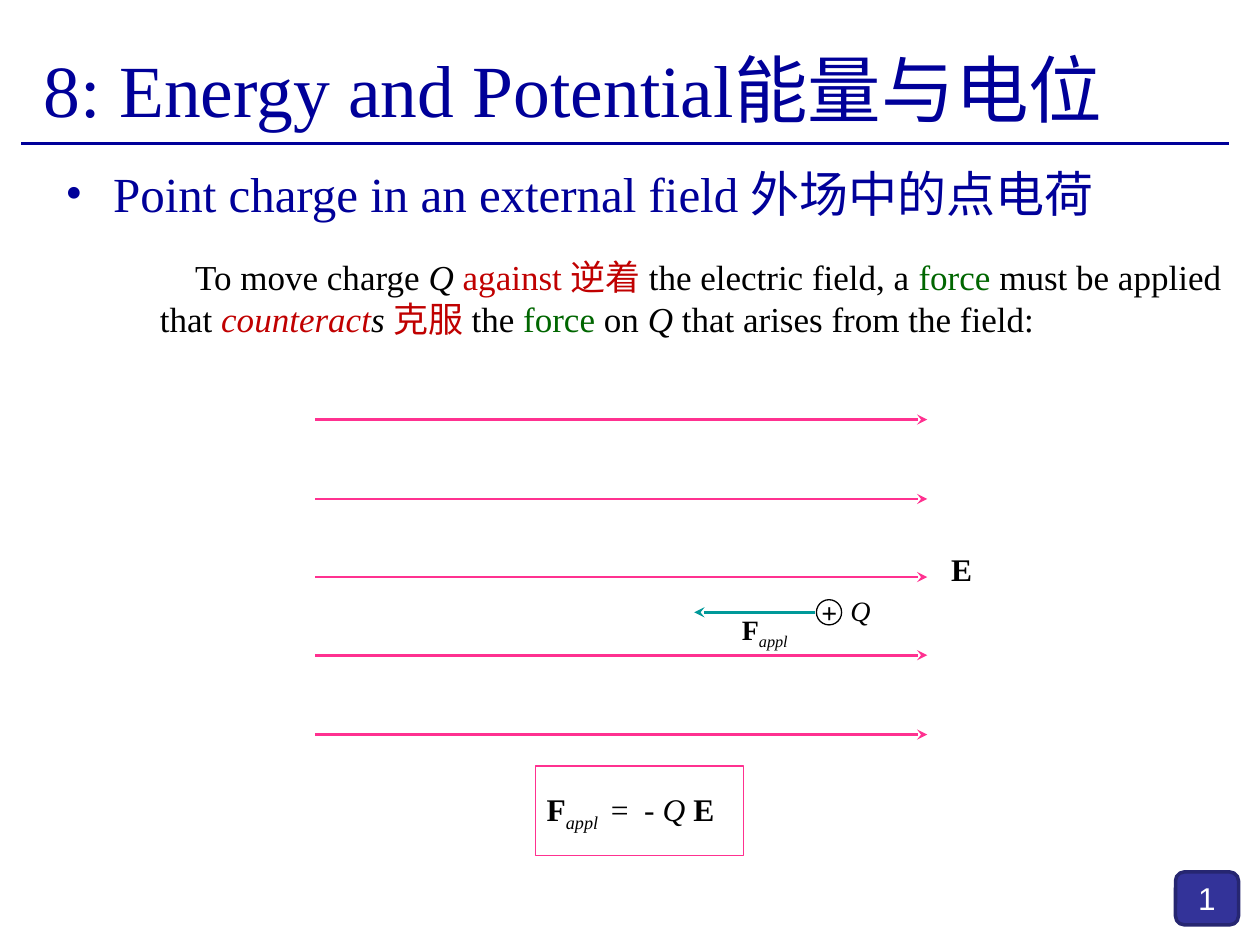
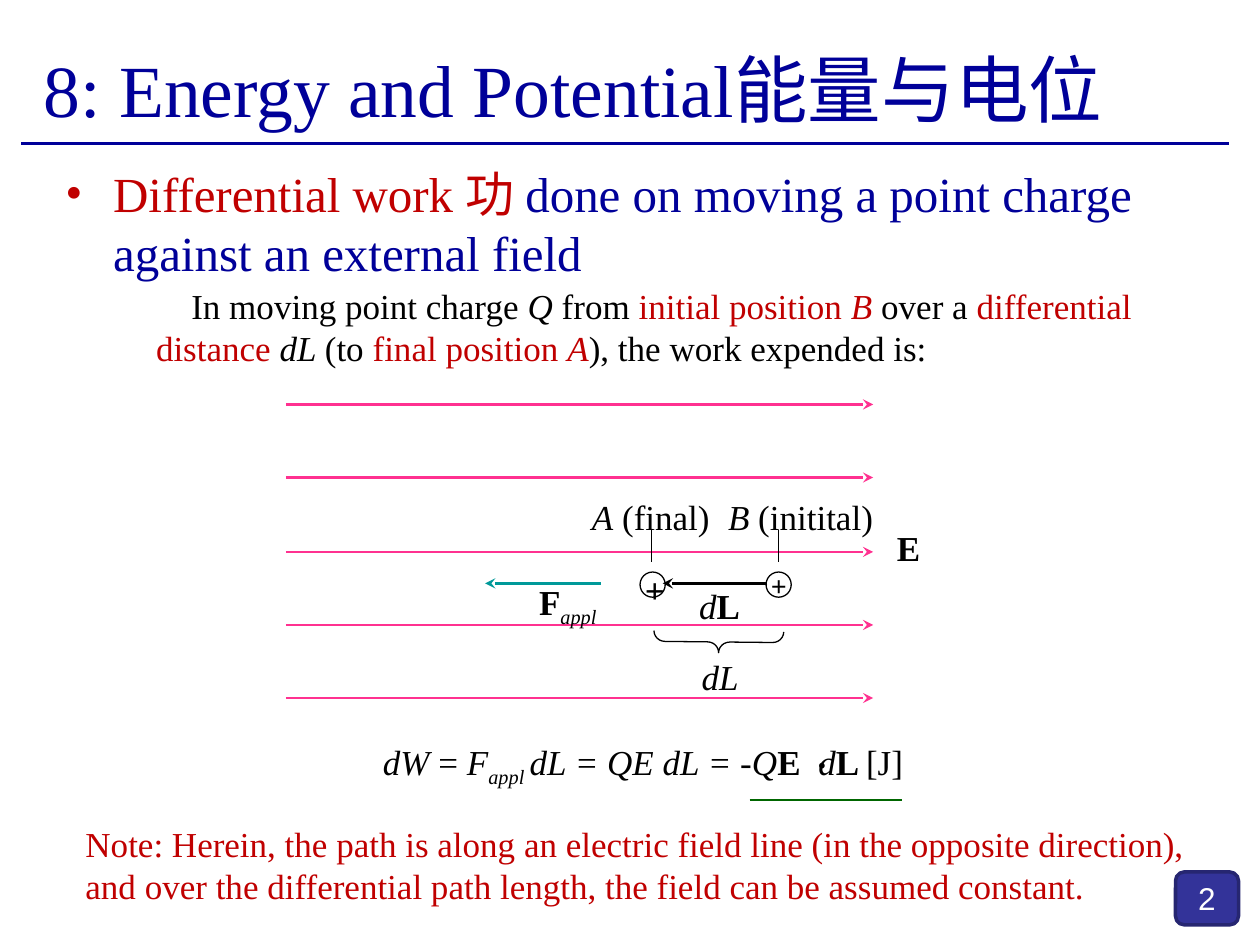
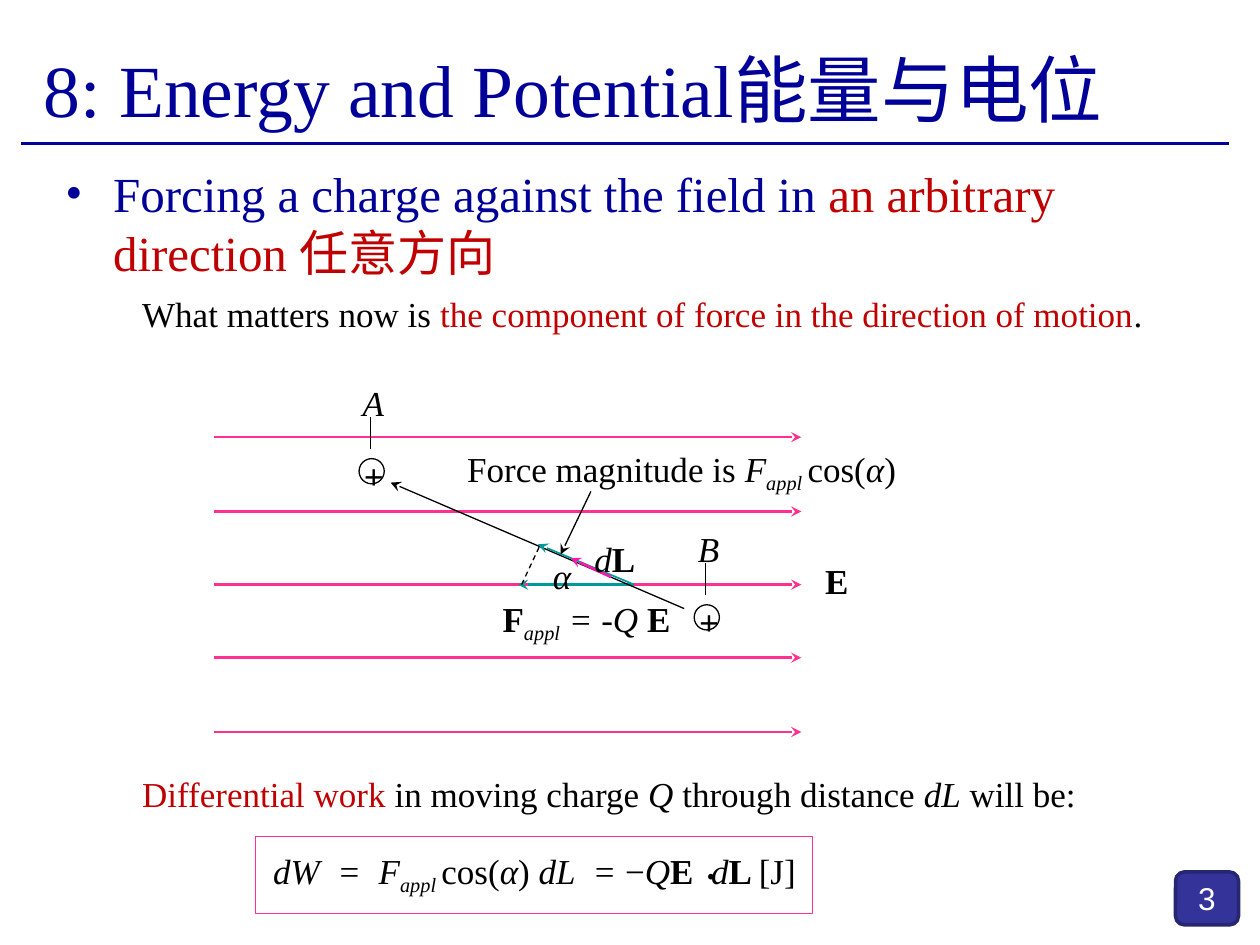
from dataclasses import dataclass

from lxml import etree
from pptx import Presentation
from pptx.dml.color import RGBColor
from pptx.enum.dml import MSO_LINE
from pptx.enum.shapes import MSO_CONNECTOR, MSO_SHAPE
from pptx.enum.text import MSO_ANCHOR, MSO_AUTO_SIZE, PP_ALIGN
from pptx.oxml.ns import qn
from pptx.util import Emu, Pt

STRAIGHT = MSO_CONNECTOR.STRAIGHT
RECT = MSO_SHAPE.RECTANGLE
ROUND_RECT = MSO_SHAPE.ROUNDED_RECTANGLE
ELLIPSE = MSO_SHAPE.OVAL
BRACE = MSO_SHAPE.LEFT_BRACE
MIDDLE = MSO_ANCHOR.MIDDLE
CENTER = PP_ALIGN.CENTER
GROW = MSO_AUTO_SIZE.SHAPE_TO_FIT_TEXT
DASH = MSO_LINE.DASH

PX = 9144
BLANK = 6


@dataclass(frozen=True)
class Theme:
    colours = {
        "black": "000000", "white": "FFFFFF", "navy": "000099",
        "red": "C00000", "green": "006600", "pink": "FF3190",
        "magenta": "FF16AB", "teal": "009999",
        "badge": "333399", "badge_edge": "262671",
    }
    latin = "Times New Roman"
    east_asian = "Noto Sans CJK SC"
    badge_font = "Arial"
    title = 42
    heading = 28
    body = 20
    formula = 18
    small = 16
    thin = 0.75
    thick = 1.5

    def rgb(self, name):
        return RGBColor.from_string(self.colours[name])


class Deck:
    def __init__(self, theme):
        self.theme = theme
        self.prs = Presentation()
        self.prs.slide_width = self.px(1000)
        self.prs.slide_height = self.px(750)
        self.s = None

    def px(self, n):
        return Emu(n * PX)

    def box(self, *lengths):
        return [self.px(n) for n in lengths]

    def slide(self, heading):
        self.s = self.prs.slides.add_slide(self.prs.slide_layouts[BLANK])
        self.line(17, 114, 975, 114, "navy", self.theme.thick)
        self.badge(len(self.prs.slides))
        self.title("8: Energy and Potential能量与电位")
        self.heading(heading)

    def run(self, p, text, style="", size=None, font=None):
        words = style.split()
        r = p.add_run()
        r.text = text
        f = r.font
        f.name = font or self.theme.latin
        f.size = Pt(size or self.theme.body)
        f.bold = "b" in words
        f.italic = "i" in words
        colour = next((w for w in words if w in self.theme.colours), "black")
        f.color.rgb = self.theme.rgb(colour)
        rPr = r._r.get_or_add_rPr()
        ea = etree.Element(qn("a:ea"), typeface=self.theme.east_asian)
        rPr.find(qn("a:latin")).addnext(ea)
        if "sub" in words:
            rPr.set("baseline", "-25000")

    def frame(self, x, y, w, h, wrap):
        tf = self.s.shapes.add_textbox(*self.box(x, y, w, h)).text_frame
        tf.word_wrap = wrap
        return tf

    def title(self, text):
        tf = self.frame(25, 7, 900, 125, True)
        tf.vertical_anchor = MIDDLE
        self.run(tf.paragraphs[0], text, "navy", self.theme.title)

    def heading(self, runs):
        tf = self.frame(42, 125, 950, 57, True)
        tf.auto_size = GROW
        p = tf.paragraphs[0]
        pPr = p._p.get_or_add_pPr()
        pPr.set("marL", str(self.px(38)))
        pPr.set("indent", str(self.px(-38)))
        etree.SubElement(pPr, qn("a:buFont"), typeface=self.theme.latin)
        etree.SubElement(pPr, qn("a:buChar"), char="•")
        for text, style in runs:
            self.run(p, text, style, self.theme.heading)

    def text(self, x, y, w, *paragraphs, size=None, wrap=False, indent=0):
        size = size or self.theme.body
        h = 11 + len(paragraphs) * 33 * size // 20
        tf = self.frame(x, y, w, h, wrap)
        tf.auto_size = GROW
        for i, runs in enumerate(paragraphs):
            p = tf.add_paragraph() if i else tf.paragraphs[0]
            if indent and not i:
                p._p.get_or_add_pPr().set("indent", str(self.px(indent)))
            for text, *style in runs:
                self.run(p, text, *style, size=size)

    def shape(self, kind, x, y, w, h, edge="black", width=None, fill=None):
        sp = self.s.shapes.add_shape(kind, *self.box(x, y, w, h))
        sp.shadow.inherit = False
        if fill:
            sp.fill.solid()
            sp.fill.fore_color.rgb = self.theme.rgb(fill)
        else:
            sp.fill.background()
        sp.line.color.rgb = self.theme.rgb(edge)
        sp.line.width = Pt(width or self.theme.thin)
        return sp

    def badge(self, number):
        sp = self.shape(ROUND_RECT, 933, 692, 50, 42, "badge_edge", 2, "badge")
        tf = sp.text_frame
        tf.vertical_anchor = MIDDLE
        p = tf.paragraphs[0]
        p.alignment = CENTER
        self.run(p, str(number), "white", self.theme.formula,
                 self.theme.badge_font)

    def line(self, x1, y1, x2, y2, colour="black", width=None, dash=None,
             arrow=False):
        c = self.s.shapes.add_connector(STRAIGHT, *self.box(x1, y1, x2, y2))
        c.line.color.rgb = self.theme.rgb(colour)
        c.line.width = Pt(width or self.theme.thin)
        if dash:
            c.line.dash_style = dash
        spPr = c._element.spPr
        if arrow:
            etree.SubElement(spPr.find(qn("a:ln")), qn("a:tailEnd"),
                             type="stealth")
        etree.SubElement(spPr, qn("a:effectLst"))

    def arrow(self, x1, y1, x2, y2, colour="black", width=None):
        self.line(x1, y1, x2, y2, colour, width, arrow=True)

    def field(self, left, right, top, bottom, count=5):
        for i in range(count):
            y = round(top + (bottom - top) * i / (count - 1))
            self.arrow(left, y, right, y, "pink", self.theme.thick)

    def charge(self, x, y, size=None):
        self.shape(ELLIPSE, x, y, 20, 20)
        self.text(x - 6, y - 8, 36, [("+", "b")], size=size)


def applied_force_slide(d):
    t = d.theme
    d.slide([("Point charge in an external field ", "navy"),
             ("外场中的点电荷", "navy")])
    d.text(117, 198, 875,
           [("To move charge ",), ("Q ", "i"), ("against ", "red"),
            ("逆着 ", "red"), ("the electric field, a ",),
            ("force", "green"), (" must be applied",)],
           [("that ",), ("counteract", "i red"), ("s ", "i"),
            ("克服", "red"), (" the ",), ("force", "green"), (" on ",),
            ("Q ", "i"), ("that arises from the field:",)],
           indent=28)
    d.field(250, 736, 333, 583)
    d.charge(648, 476, t.small)
    d.text(745, 432, 38, [("E", "b")], size=t.formula)
    d.arrow(647, 486, 551, 486, "teal", t.thick)
    d.text(665, 466, 38, [("Q", "i")], size=t.small)
    d.text(579, 481, 64, [("F", "b"), ("appl", "i sub")], size=t.small)
    d.text(424, 622, 166,
           [("F", "b"), ("appl ", "i sub"), (" =  - ",), ("Q ", "i"),
            ("E", "b")], size=t.formula, wrap=True)
    d.shape(RECT, 425, 608, 165, 71, "pink")


def differential_work_slide(d):
    t = d.theme
    d.slide([("Differential work ", "red"), ("功", "red"),
             (" done on moving a point charge against an external field",
              "navy")])
    d.field(227, 693, 321, 554)
    d.charge(608, 454, t.small)
    d.charge(508, 454)
    d.text(702, 413, 39, [("E", "b")])
    d.arrow(477, 463, 385, 463, "teal", t.thick)
    d.text(418, 456, 70, [("F", "b"), ("appl", "i sub")])
    for x in (618, 517):
        d.line(x, 421, x, 446)
    d.text(568, 388, 136, [("B ", "i"), ("(initital)",)])
    d.text(460, 388, 114, [("A", "i"), (" (final)",)])
    d.arrow(609, 463, 526, 463, width=t.thick)
    brace = d.shape(BRACE, 562, 458, 17, 103)
    brace.rotation = 270.6
    brace.adjustments[0] = 0.52
    d.text(547, 515, 50, [("dL", "i")])
    d.text(114, 221, 806,
           [("In moving point charge ",), ("Q ", "i"), ("from ",),
            ("initial position ", "red"), ("B ", "i red"), ("over a ",),
            ("differential", "red")],
           [("distance ", "red"), ("dL ", "i"), ("(to ",),
            ("final position ", "red"), ("A", "i red"),
            ("), the work expended is:",)],
           indent=28)
    d.text(58, 648, 907,
           [("Note: Herein, the path is along an electric field line "
             "(in the opposite direction),", "red")],
           [("and over the differential path length, the field can be "
             "assumed constant.", "red")])
    d.text(294, 583, 445,
           [("dW", "i"), (" = ",), ("F", "i"), ("appl ", "i sub"),
            ("dL = QE dL = -Q", "i"), ("E  ", "b"), ("d", "i"),
            ("L ", "b"), ("[J]",)])
    d.text(639, 577, 27, [(".", "b")])
    d.text(545, 459, 53, [("d", "i"), ("L", "b")])
    d.line(595, 635, 716, 635, "green", t.thick)


def arbitrary_direction_slide(d):
    t = d.theme
    d.slide([("Forcing a charge against the field in ", "navy"),
             ("an arbitrary direction ", "red"), ("任意方向", "red")])
    d.field(170, 636, 347, 581)
    d.text(645, 439, 39, [("E", "b")])
    d.arrow(503, 464, 411, 464, "teal", t.thick)
    d.text(389, 469, 159,
           [("F", "b"), ("appl", "i sub"), (" = -Q ", "i"), ("E", "b")])
    for name, x, y in (("B", 551, 480), ("A", 285, 364)):
        d.charge(x, y)
        d.line(x + 9, y - 33, x + 9, y - 8)
        d.text(x - 7, y - 66, 37, [(name, "i")])
    d.arrow(543, 483, 310, 383)
    d.text(103, 227, 819,
           [("What matters now is ",),
            ("the component of force in the direction of motion", "red"),
            (".",)])
    d.text(429, 435, 38, [("α", "i")])
    d.arrow(501, 463, 427, 432, "teal", 1)
    d.line(414, 464, 428, 434, dash=DASH)
    d.text(361, 350, 380,
           [("Force magnitude is ",), ("F", "i"), ("appl ", "i sub"),
            ("cos(",), ("α", "i"), (")",)])
    d.arrow(469, 390, 445, 440)
    d.arrow(485, 458, 453, 443, "magenta", t.thick)
    d.text(462, 422, 53, [("d", "i"), ("L", "b")])
    d.text(103, 608, 766,
           [("Differential work ", "red"), ("in moving charge ",),
            ("Q", "i"), (" through distance ",), ("dL", "i"),
            (" will be:",)])
    d.text(207, 669, 446,
           [("dW  =  F", "i"), ("appl ", "i sub"), ("cos(",), ("α", "i"),
            (") ",), ("dL  = ", "i"), ("−",), ("Q", "i"), ("E  ", "b"),
            ("d", "i"), ("L ", "b"), ("[J]",)])
    d.text(551, 665, 27, [(".", "b")])
    d.shape(RECT, 203, 664, 442, 61, "pink")


def main():
    d = Deck(Theme())
    applied_force_slide(d)
    differential_work_slide(d)
    arbitrary_direction_slide(d)
    d.prs.save("out.pptx")


if __name__ == "__main__":
    main()
